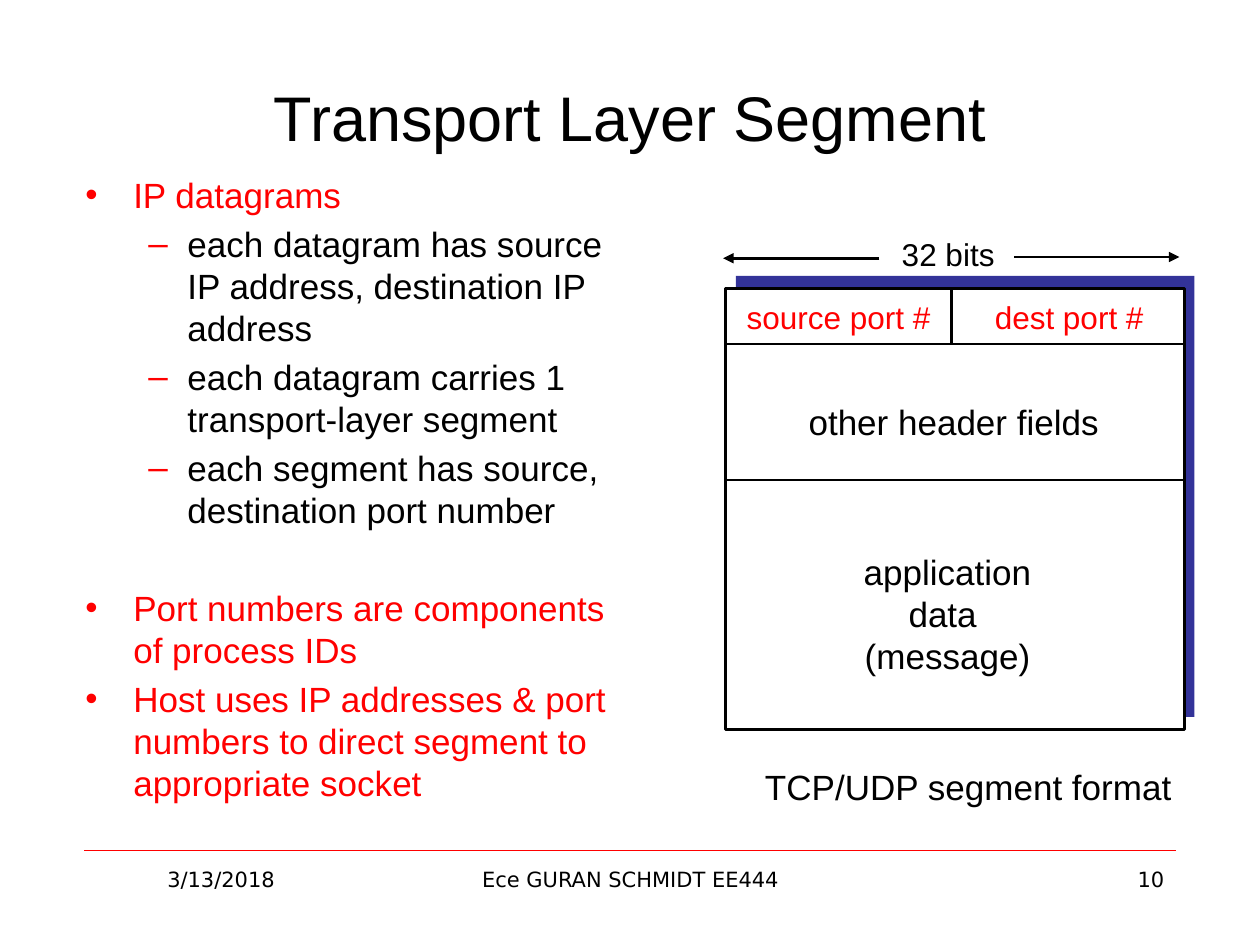
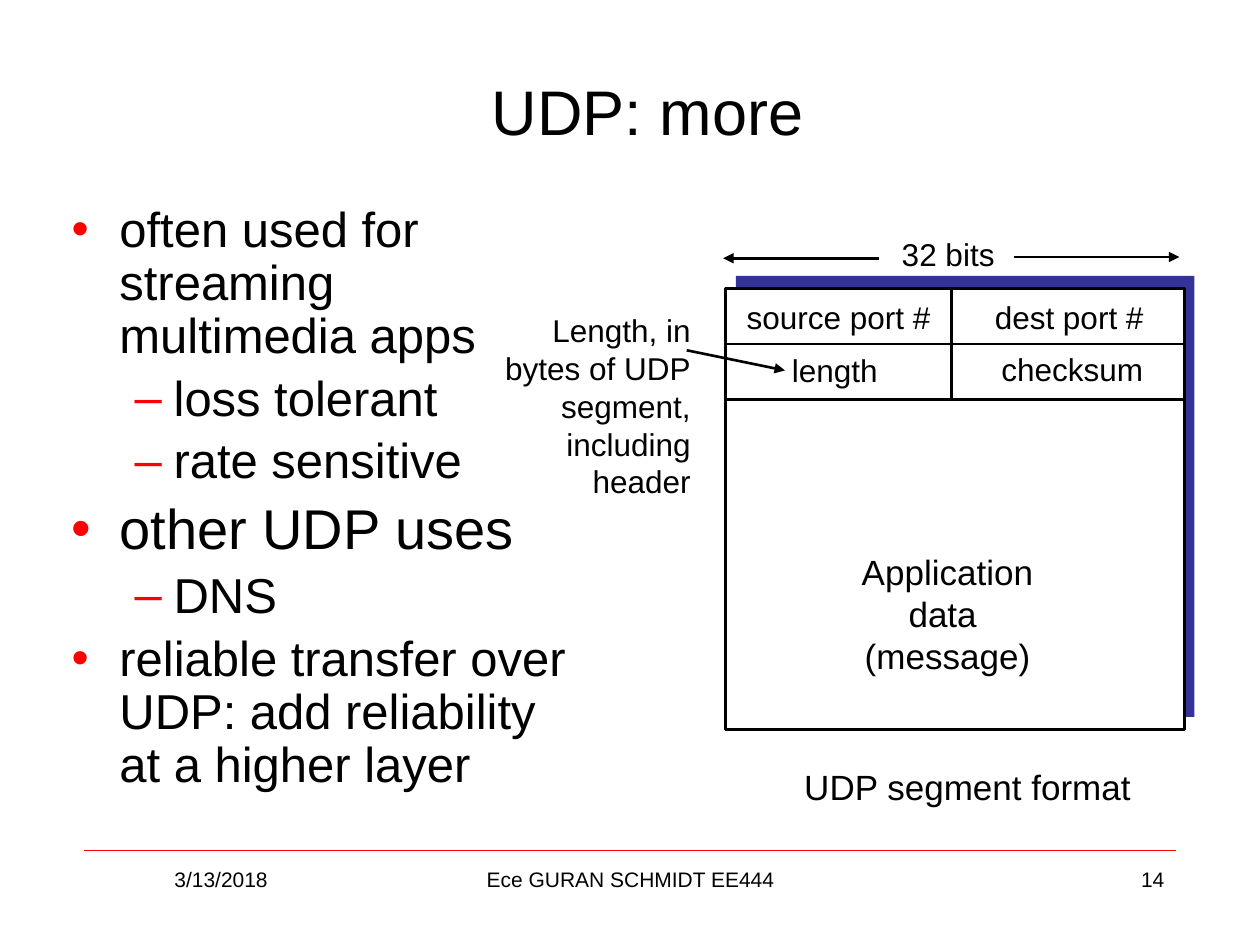
"""Build two slides on transport layer segments."""
from dataclasses import dataclass

from lxml import etree
from pptx import Presentation
from pptx.dml.color import RGBColor
from pptx.enum.shapes import MSO_CONNECTOR, MSO_SHAPE
from pptx.enum.text import MSO_ANCHOR, MSO_AUTO_SIZE, PP_ALIGN
from pptx.oxml.ns import qn
from pptx.slide import Slide
from pptx.util import Inches, Pt

STRAIGHT = MSO_CONNECTOR.STRAIGHT
RECTANGLE = MSO_SHAPE.RECTANGLE
TOP, MIDDLE = MSO_ANCHOR.TOP, MSO_ANCHOR.MIDDLE
NO_FIT, GROW = MSO_AUTO_SIZE.NONE, MSO_AUTO_SIZE.SHAPE_TO_FIT_TEXT
LEFT, CENTER, RIGHT = PP_ALIGN.LEFT, PP_ALIGN.CENTER, PP_ALIGN.RIGHT
BLANK_LAYOUT = 6


@dataclass(frozen=True)
class Theme:
    """Colours, fonts and type sizes of the presentation."""
    black: str = "000000"
    white: str = "FFFFFF"
    red: str = "FF0000"
    blue: str = "333399"
    font: str = "Arial"
    plain_font: str = "DejaVu Sans"
    title: int = 36
    large: int = 32
    body: int = 28
    text: int = 20
    label: int = 18
    footer: int = 12
    rule: float = 0.25
    outline: float = 1.5


THEME = Theme()


@dataclass(frozen=True)
class Box:
    """Place of an object in inches."""
    left: float
    top: float
    width: float
    height: float

    def lengths(self) -> list[int]:
        """Return the four lengths for python-pptx."""
        return [Inches(value) for value in (self.left, self.top, self.width, self.height)]


@dataclass(frozen=True)
class Line:
    """A straight line, with an arrowhead at its end if wanted."""
    start: tuple[float, float]
    end: tuple[float, float]
    arrow: bool = False
    color: str = THEME.black
    weight: float = THEME.outline


@dataclass(frozen=True)
class Label:
    """Text in a box, one paragraph a line."""
    box: Box
    text: str
    size: int = THEME.label
    color: str = THEME.black
    font: str = THEME.font
    align: PP_ALIGN = CENTER
    anchor: MSO_ANCHOR = TOP
    wrap: bool = False


@dataclass(frozen=True)
class Bullet:
    """One item of a bulleted list."""
    text: str
    level: int = 0
    size: int = THEME.text
    color: str = THEME.black
    gap: float = 0


@dataclass(frozen=True)
class LevelStyle:
    """Bullet sign and indents of a list level."""
    sign: str
    margin: float
    hanging: float


LEVELS = (LevelStyle("•", 0.38, 0.38), LevelStyle("–", 0.81, 0.31))

FRAME = Box(5.76, 2.29, 3.64, 3.5)
FRAME_SHADOW = Box(5.84, 2.19, 3.64, 3.5)
DIVIDER_X = 7.55
HEADER_BOTTOM = 2.73
LENGTH_ROW_BOTTOM = 3.17

SEGMENT_BULLETS = (
    Bullet("IP datagrams", color=THEME.red),
    Bullet("each datagram has source IP address, destination IP address", 1),
    Bullet("each datagram carries 1 transport-layer segment", 1),
    Bullet("each segment has source, destination port number", 1),
    Bullet("Port numbers are components of process IDs", color=THEME.red, gap=28),
    Bullet("Host uses IP addresses & port numbers to direct segment to appropriate socket",
           color=THEME.red),
)
UDP_BULLETS = (
    Bullet("often used for streaming multimedia apps", 0, THEME.body),
    Bullet("loss tolerant", 1, THEME.body),
    Bullet("rate sensitive", 1, THEME.body),
    Bullet("other UDP uses", 0, THEME.large),
    Bullet("DNS", 1, THEME.body),
    Bullet("reliable transfer over UDP: add reliability at a higher layer", 0, THEME.body),
)
UDP_LABELS = (
    Label(Box(6.18, 2.74, 0.89, 0.5), "length"),
    Label(Box(7.84, 2.73, 1.34, 0.5), "checksum"),
    Label(Box(3.89, 2.42, 1.69, 1.72),
          "Length, in\nbytes of UDP\nsegment,\nincluding\nheader", align=RIGHT),
)


def assign(target: object, values: dict[str, object]) -> None:
    """Set attributes of an object from a dict."""
    for name, value in values.items():
        setattr(target, name, value)


def style_font(font: object, name: str, size: int, color: str) -> None:
    """Give a font its name, size and colour."""
    assign(font, {"name": name, "size": Pt(size)})
    font.color.rgb = RGBColor.from_string(color)


def draw_label(slide: Slide, label: Label) -> None:
    """Draw a text box with equally styled paragraphs."""
    frame = slide.shapes.add_textbox(*label.box.lengths()).text_frame
    frame.text = label.text
    assign(frame, {"word_wrap": label.wrap, "vertical_anchor": label.anchor,
                   "auto_size": NO_FIT if label.wrap else GROW})
    for paragraph in frame.paragraphs:
        paragraph.alignment = label.align
        style_font(paragraph.runs[0].font, label.font, label.size, label.color)


def draw_line(slide: Slide, line: Line) -> None:
    """Draw a line or an arrow."""
    points = [Inches(value) for value in (*line.start, *line.end)]
    connector = slide.shapes.add_connector(STRAIGHT, *points)
    connector.line.width = Pt(line.weight)
    connector.line.color.rgb = RGBColor.from_string(line.color)
    properties = connector.line._get_or_add_ln()
    if line.arrow:
        etree.SubElement(properties, qn("a:tailEnd"), type="triangle")
    etree.SubElement(properties.getparent(), qn("a:effectLst"))


def draw_rectangle(slide: Slide, box: Box, fill: str, outline: str | None = None) -> None:
    """Draw a filled rectangle."""
    shape = slide.shapes.add_shape(RECTANGLE, *box.lengths())
    shape.shadow.inherit = False
    shape.fill.solid()
    shape.fill.fore_color.rgb = RGBColor.from_string(fill)
    if outline is None:
        shape.line.fill.background()
    else:
        shape.line.color.rgb = RGBColor.from_string(outline)
        shape.line.width = Pt(THEME.outline)


def draw_bullets(slide: Slide, box: Box, bullets: tuple[Bullet, ...], spacing: float) -> None:
    """Draw a two-level list with red bullets."""
    frame = slide.shapes.add_textbox(*box.lengths()).text_frame
    frame.word_wrap = True
    frame.text = "\n".join(bullet.text for bullet in bullets)
    for paragraph, bullet in zip(frame.paragraphs, bullets):
        level = LEVELS[bullet.level]
        assign(paragraph, {"alignment": LEFT, "level": bullet.level, "line_spacing": spacing,
                           "space_before": Pt(0.2 * bullet.size + bullet.gap)})
        style_font(paragraph.runs[0].font, THEME.font, bullet.size, bullet.color)
        properties = paragraph._p.get_or_add_pPr()
        properties.set("marL", str(Inches(level.margin)))
        properties.set("indent", str(-Inches(level.hanging)))
        color = etree.SubElement(properties, qn("a:buClr"))
        etree.SubElement(color, qn("a:srgbClr"), val=THEME.red)
        etree.SubElement(properties, qn("a:buFont"), typeface=THEME.font)
        etree.SubElement(properties, qn("a:buChar"), char=level.sign)


def draw_page(slide: Slide, title: str, title_box: Box, number: str, footer_font: str) -> None:
    """Draw the title, the footer rule and the footer texts."""
    draw_label(slide, Label(title_box, title, THEME.title, anchor=MIDDLE, wrap=True))
    draw_line(slide, Line((0.67, 6.75), (9.33, 6.75), color=THEME.red, weight=THEME.rule))
    for left, width, text, align in ((0.67, 2.17, "3/13/2018", CENTER),
                                     (3.42, 3.17, "Ece GURAN SCHMIDT EE444", CENTER),
                                     (7.17, 2.17, number, RIGHT)):
        draw_label(slide, Label(Box(left, 6.83, width, 0.52), text, THEME.footer,
                                font=footer_font, align=align, wrap=True))


def draw_row_line(slide: Slide, y: float) -> None:
    """Draw a line across the segment frame."""
    draw_line(slide, Line((FRAME.left, y), (FRAME.left + FRAME.width, y)))


def draw_divider(slide: Slide, top: float, bottom: float) -> None:
    """Draw the line between the two fields of a header row."""
    draw_line(slide, Line((DIVIDER_X, top), (DIVIDER_X, bottom)))


def draw_segment(slide: Slide, port_color: str, data: str, caption: Label) -> None:
    """Draw the segment frame with its ports, data, width and caption."""
    draw_rectangle(slide, FRAME_SHADOW, THEME.blue)
    draw_rectangle(slide, FRAME, THEME.white, THEME.black)
    draw_row_line(slide, HEADER_BOTTOM)
    draw_divider(slide, FRAME.top, HEADER_BOTTOM)
    for arrow in (Line((8.05, 2.04), (9.36, 2.04), True),
                  Line((6.98, 2.05), (5.74, 2.05), True)):
        draw_line(slide, arrow)
    for label in (Label(Box(5.82, 2.32, 1.67, 0.5), "source port #", color=port_color),
                  Label(Box(7.79, 2.32, 1.39, 0.5), "dest port #", color=port_color),
                  Label(Box(7.05, 1.82, 0.95, 0.5), "32 bits"),
                  Label(Box(6.73, 4.32, 1.58, 1.1), data, THEME.text),
                  caption):
        draw_label(slide, label)


def build_segment_slide(slide: Slide) -> None:
    """Build the slide on the transport layer segment."""
    draw_page(slide, "Transport Layer Segment", Box(0.5, 0.3, 9, 1.25), "10", THEME.plain_font)
    draw_bullets(slide, Box(0.58, 1.33, 4.5, 3.05), SEGMENT_BULLETS, 1.0)
    draw_segment(slide, THEME.red, "application\ndata \n(message)",
                 Label(Box(5.91, 6.03, 3.55, 0.43), "TCP/UDP segment format", THEME.text))
    draw_row_line(slide, 3.81)
    draw_label(slide, Label(Box(6.31, 3.13, 2.52, 0.44), "other header fields", THEME.text))


def build_udp_slide(slide: Slide) -> None:
    """Build the slide on UDP."""
    draw_page(slide, "UDP: more", Box(0.58, 0.25, 9.12, 1.25), "14", THEME.font)
    draw_bullets(slide, Box(0.47, 1.58, 4.17, 5.08), UDP_BULLETS, 0.9)
    draw_segment(slide, THEME.black, "Application\ndata \n(message)",
                 Label(Box(6.23, 6.03, 2.9, 0.43), "UDP segment format", THEME.text))
    draw_row_line(slide, LENGTH_ROW_BOTTOM)
    draw_divider(slide, HEADER_BOTTOM, LENGTH_ROW_BOTTOM)
    for label in UDP_LABELS:
        draw_label(slide, label)
    draw_line(slide, Line((5.45, 2.78), (6.23, 2.94), True))


def main() -> None:
    """Build and save the presentation."""
    presentation = Presentation()
    assign(presentation, {"slide_width": Inches(10), "slide_height": Inches(7.5)})
    for build in (build_segment_slide, build_udp_slide):
        build(presentation.slides.add_slide(presentation.slide_layouts[BLANK_LAYOUT]))
    presentation.save("out.pptx")


if __name__ == "__main__":
    main()
